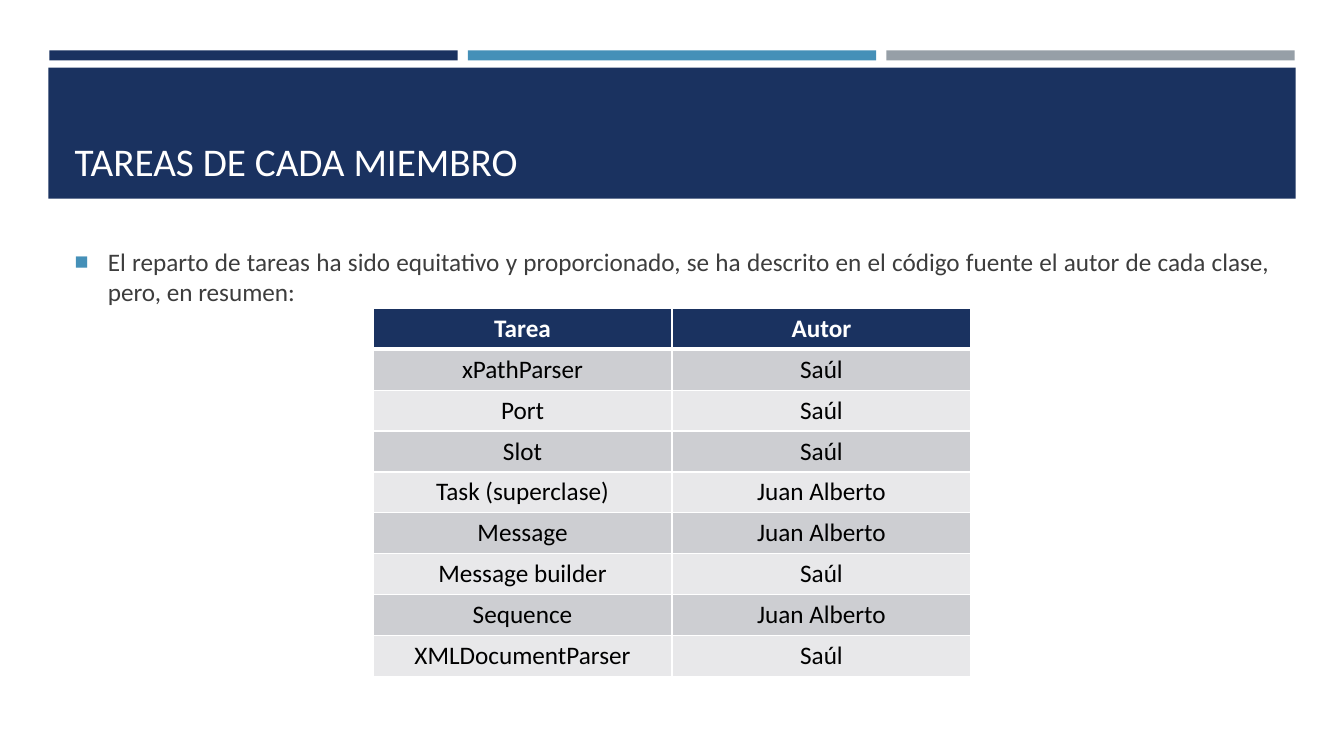
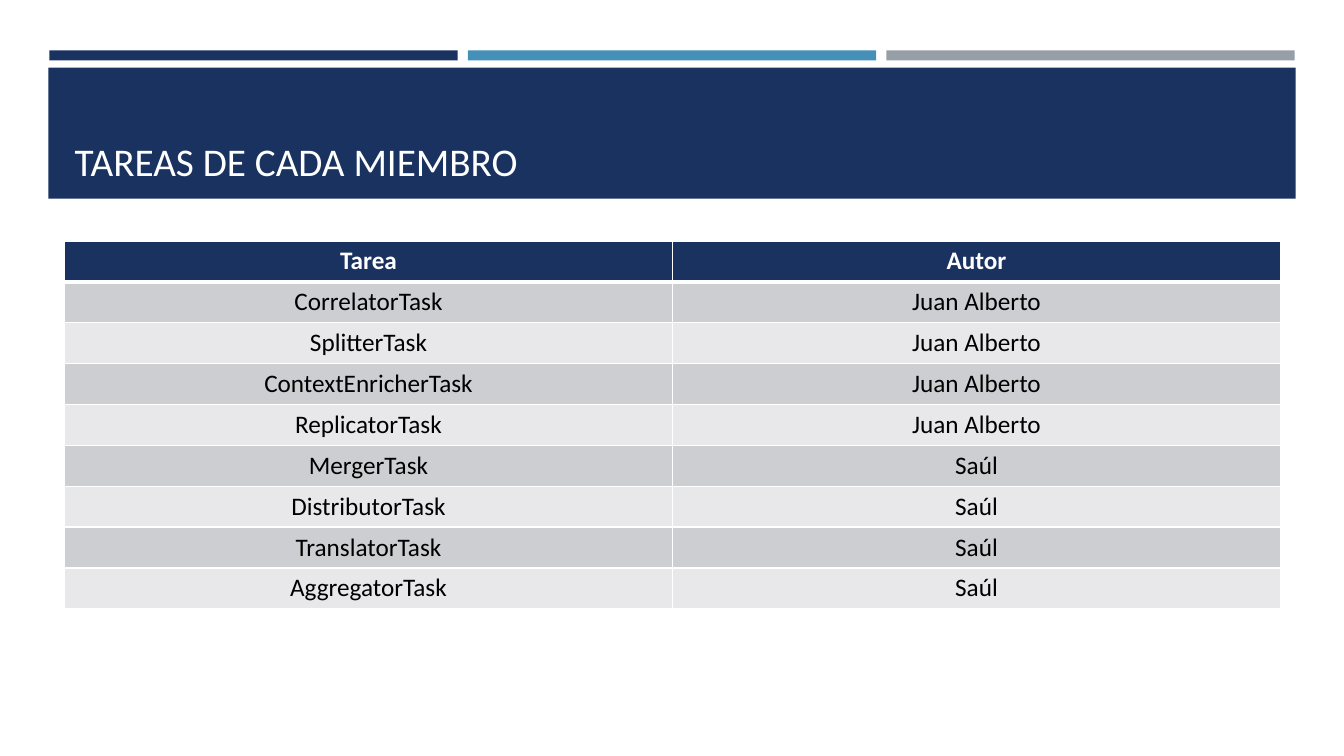
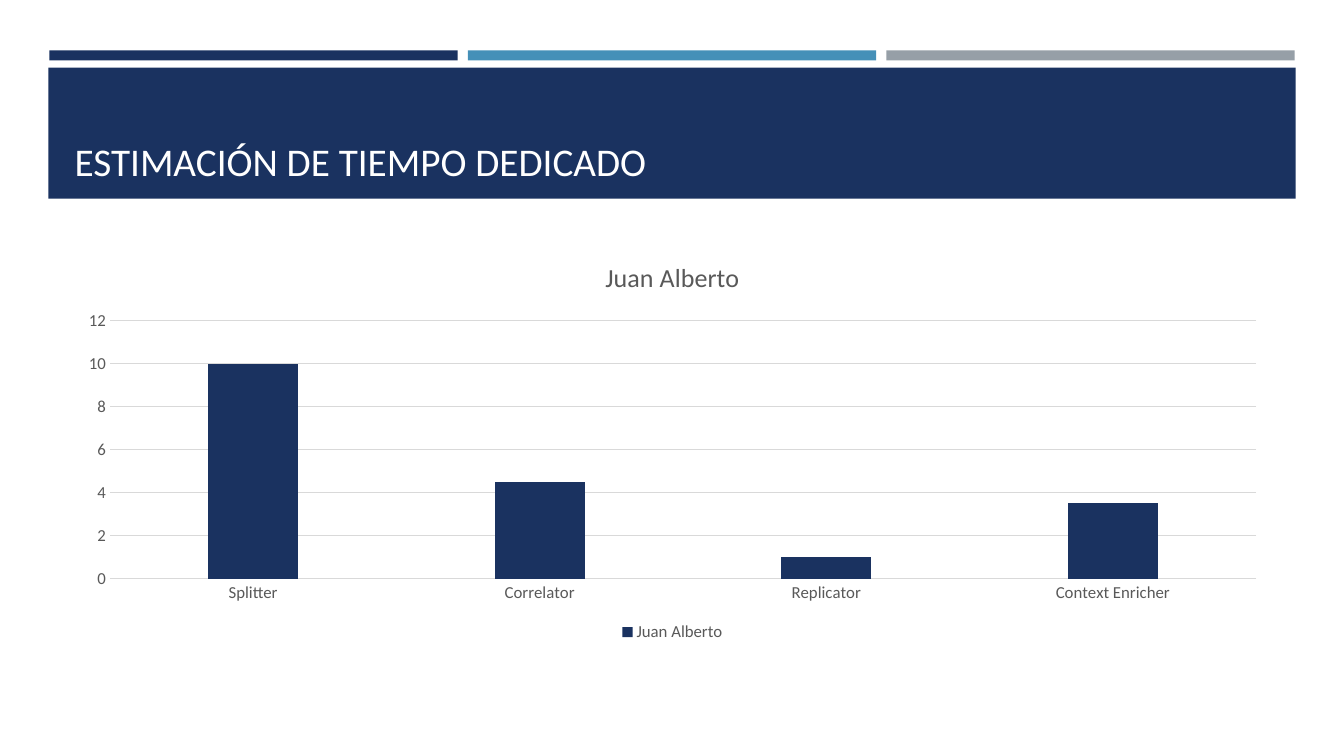
from lxml import etree
from pptx import Presentation
from pptx.chart.data import CategoryChartData
from pptx.dml.color import RGBColor
from pptx.enum.chart import XL_CHART_TYPE, XL_LEGEND_POSITION, XL_TICK_MARK
from pptx.enum.shapes import MSO_SHAPE
from pptx.enum.text import MSO_ANCHOR, MSO_AUTO_SIZE, PP_ALIGN
from pptx.oxml.ns import qn
from pptx.util import Inches, Pt

RECT = MSO_SHAPE.RECTANGLE
COLUMNS = XL_CHART_TYPE.COLUMN_CLUSTERED
LEGEND_BOTTOM = XL_LEGEND_POSITION.BOTTOM
NO_TICK = XL_TICK_MARK.NONE
TOP, BOTTOM = MSO_ANCHOR.TOP, MSO_ANCHOR.BOTTOM
NO_FIT = MSO_AUTO_SIZE.NONE
LEFT, CENTER, JUSTIFY = PP_ALIGN.LEFT, PP_ALIGN.CENTER, PP_ALIGN.JUSTIFY

FONT = "Calibri"
NAVY = RGBColor(0x1A, 0x32, 0x60)
BLUE = RGBColor(0x45, 0x90, 0xB8)
GRAY = RGBColor(0x96, 0x9F, 0xA7)
WHITE = RGBColor(0xFF, 0xFF, 0xFF)
BLACK = RGBColor(0x00, 0x00, 0x00)
BODY_TEXT = RGBColor(0x3D, 0x3D, 0x3D)
CHART_TEXT = RGBColor(0x59, 0x59, 0x59)
GRID = RGBColor(0xD9, 0xD9, 0xD9)
ROW_FILLS = (RGBColor(0xCD, 0xCE, 0xD2), RGBColor(0xE8, 0xE8, 0xEA))

MARGIN, CONTENT_WIDTH = 0.64, 12.06
CONTENT_TOP, CONTENT_HEIGHT = 2.39, 4.02
TABLE_HEIGHT = 3.65
STRIPE_LEFT, STRIPE_WIDTH, STRIPE_GAP = 0.49, 4.05, 0.1

TASKS_TITLE = "TAREAS DE CADA MIEMBRO"
TIME_TITLE = "ESTIMACIÓN DE TIEMPO DEDICADO"
INTRO = ("El reparto de tareas ha sido equitativo y proporcionado, se ha descrito "
         "en el código fuente el autor de cada clase, pero, en resumen:")
SAUL, JUAN = "Saúl", "Juan Alberto"
HEADER = ("Tarea", "Autor")
CORE_TASKS = [
    HEADER,
    ("xPathParser", SAUL),
    ("Port", SAUL),
    ("Slot", SAUL),
    ("Task (superclase)", JUAN),
    ("Message", JUAN),
    ("Message builder", SAUL),
    ("Sequence", JUAN),
    ("XMLDocumentParser", SAUL),
]
SUBTASKS = [
    HEADER,
    ("CorrelatorTask", JUAN),
    ("SplitterTask", JUAN),
    ("ContextEnricherTask", JUAN),
    ("ReplicatorTask", JUAN),
    ("MergerTask", SAUL),
    ("DistributorTask", SAUL),
    ("TranslatorTask", SAUL),
    ("AggregatorTask", SAUL),
]
HOURS = {"Splitter": 10, "Correlator": 4.5, "Replicator": 1, "Context Enricher": 3.5}


def set_font(font, size, color, bold=False):
    font.name = FONT
    font.size = Pt(size)
    font.color.rgb = color
    font.bold = bold


def place(shape, x, y, w, h):
    shape.left, shape.top = Inches(x), Inches(y)
    shape.width, shape.height = Inches(w), Inches(h)


def fill_placeholder(shape, text, box, size, color, anchor, align):
    place(shape, *box)
    tf = shape.text_frame
    tf.text = text
    tf.word_wrap = True
    tf.auto_size = NO_FIT
    tf.vertical_anchor = anchor
    p = tf.paragraphs[0]
    p.alignment = align
    set_font(p.runs[0].font, size, color)
    return p


def add_master_bands(prs, s):
    bands = [(STRIPE_LEFT + i * (STRIPE_WIDTH + STRIPE_GAP), 0.5, STRIPE_WIDTH, 0.1, color)
             for i, color in enumerate((NAVY, BLUE, GRAY))]
    bands.append((0.48, 0.67, 12.37, 1.3, NAVY))
    tree = prs.slide_master.shapes.element
    for i, (x, y, w, h, color) in enumerate(bands):
        band = s.shapes.add_shape(RECT, Inches(x), Inches(y), Inches(w), Inches(h))
        band.shadow.inherit = False
        band.fill.solid()
        band.fill.fore_color.rgb = color
        band.line.fill.background()
        tree.insert(2 + i, band.element)


def add_slide(prs, layout, title):
    s = prs.slides.add_slide(prs.slide_layouts[layout])
    fill_placeholder(s.shapes.title, title, (MARGIN, 0.77, CONTENT_WIDTH, 1.11),
                     28, WHITE, BOTTOM, LEFT)
    return s


def add_bullet(p):
    pPr = p._p.get_or_add_pPr()
    pPr.set("marL", str(Inches(0.33)))
    pPr.set("indent", str(-Inches(0.33)))
    color = etree.SubElement(pPr, qn("a:buClr"))
    etree.SubElement(color, qn("a:srgbClr"), val=str(BLUE))
    etree.SubElement(pPr, qn("a:buSzPct"), val="92000")
    etree.SubElement(pPr, qn("a:buFont"), typeface="Arial")
    etree.SubElement(pPr, qn("a:buChar"), char="■")


def set_borders(cell, top, bottom):
    tcPr = cell._tc.get_or_add_tcPr()
    for side, width in (("L", 1), ("R", 1), ("T", top), ("B", bottom)):
        ln = etree.SubElement(tcPr, qn("a:ln" + side), w=str(Pt(width)))
        fill = etree.SubElement(ln, qn("a:solidFill"))
        etree.SubElement(fill, qn("a:srgbClr"), val=str(WHITE))


def add_task_table(s, rows, x, y, w):
    table = s.shapes.add_table(len(rows), len(HEADER), Inches(x), Inches(y),
                               Inches(w), Inches(TABLE_HEIGHT)).table
    for i, row in enumerate(rows):
        is_header = i == 0
        for j, text in enumerate(row):
            cell = table.cell(i, j)
            set_borders(cell, 3 if i == 1 else 1, 3 if is_header else 1)
            cell.fill.solid()
            cell.fill.fore_color.rgb = NAVY if is_header else ROW_FILLS[(i - 1) % 2]
            cell.text = text
            p = cell.text_frame.paragraphs[0]
            p.alignment = CENTER
            set_font(p.runs[0].font, 18, WHITE if is_header else BLACK, is_header)


def add_hours_chart(s):
    data = CategoryChartData()
    data.categories = list(HOURS)
    data.add_series(JUAN, list(HOURS.values()))
    chart = s.shapes.add_chart(COLUMNS, Inches(MARGIN), Inches(CONTENT_TOP),
                               Inches(CONTENT_WIDTH), Inches(CONTENT_HEIGHT), data).chart
    set_font(chart.font, 10, BLACK)

    chart.has_title = True
    chart.chart_title.include_in_layout = False
    tf = chart.chart_title.text_frame
    tf.text = JUAN
    set_font(tf.paragraphs[0].runs[0].font, 18.6, CHART_TEXT)

    chart.has_legend = True
    chart.legend.position = LEGEND_BOTTOM
    chart.legend.include_in_layout = False
    set_font(chart.legend.font, 12, CHART_TEXT)

    values, categories = chart.value_axis, chart.category_axis
    for axis in (values, categories):
        axis.major_tick_mark = axis.minor_tick_mark = NO_TICK
        set_font(axis.tick_labels.font, 12, CHART_TEXT)
    values.minimum_scale, values.maximum_scale, values.major_unit = 0, 12, 2
    values.format.line.fill.background()
    values.has_major_gridlines = True
    for line in (values.major_gridlines.format.line, categories.format.line):
        line.color.rgb = GRID
        line.width = Pt(0.75)

    plot = chart.plots[0]
    plot.vary_by_categories = False
    plot.gap_width, plot.overlap = 219, -27
    fill = plot.series[0].format.fill
    fill.solid()
    fill.fore_color.rgb = NAVY


def main():
    prs = Presentation()
    prs.slide_width, prs.slide_height = Inches(13.33), Inches(7.5)

    s = add_slide(prs, 1, TASKS_TITLE)
    add_master_bands(prs, s)
    p = fill_placeholder(s.placeholders[1], INTRO,
                         (MARGIN, CONTENT_TOP, CONTENT_WIDTH, CONTENT_HEIGHT),
                         18, BODY_TEXT, TOP, JUSTIFY)
    p.space_before, p.space_after = Pt(3.6), Pt(6)
    add_bullet(p)
    add_task_table(s, CORE_TASKS, 3.7, 3.06, 5.93)

    s = add_slide(prs, 5, TASKS_TITLE)
    add_task_table(s, SUBTASKS, MARGIN, CONTENT_TOP, CONTENT_WIDTH)

    s = add_slide(prs, 5, TIME_TITLE)
    add_hours_chart(s)

    prs.save("out.pptx")


if __name__ == "__main__":
    main()
